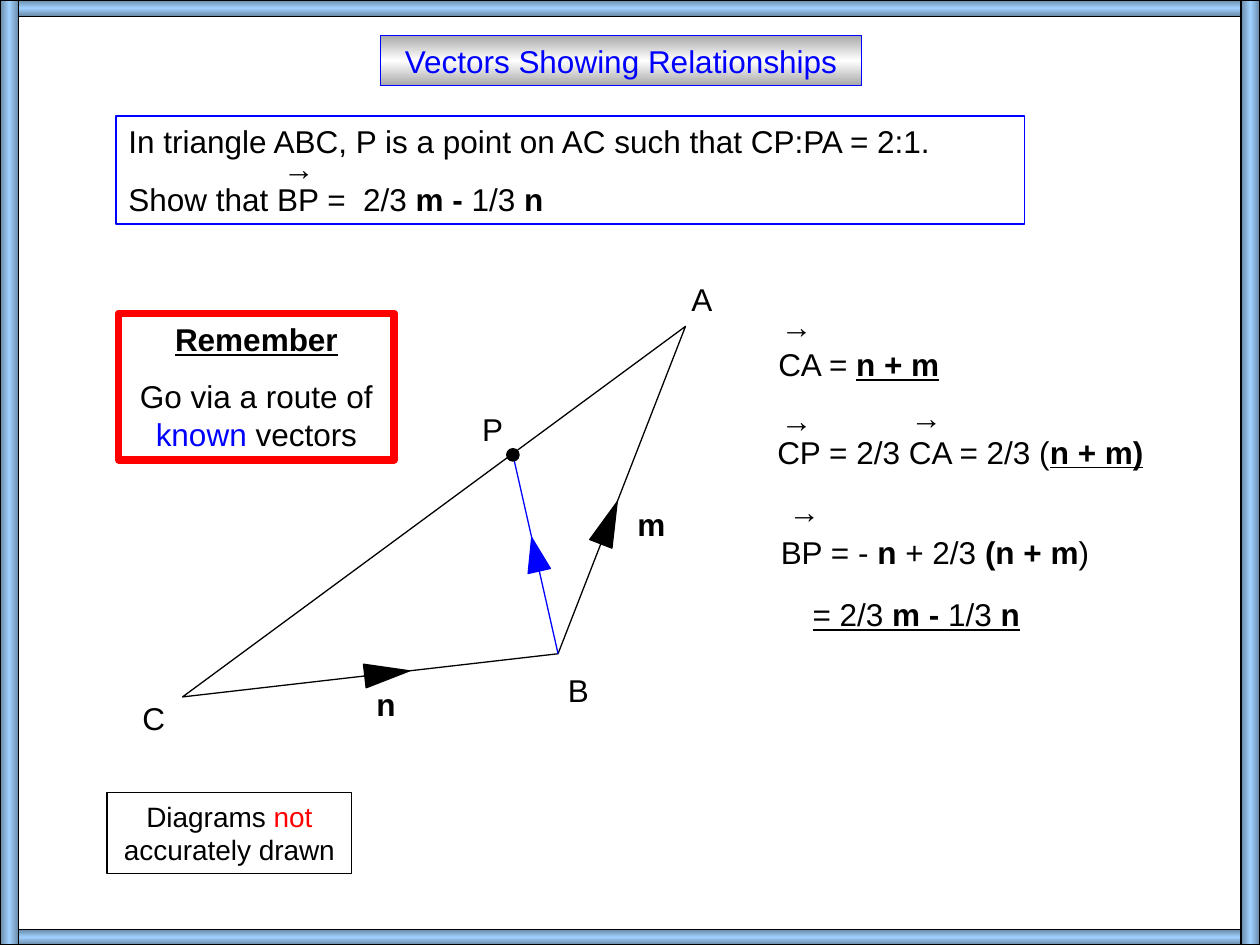
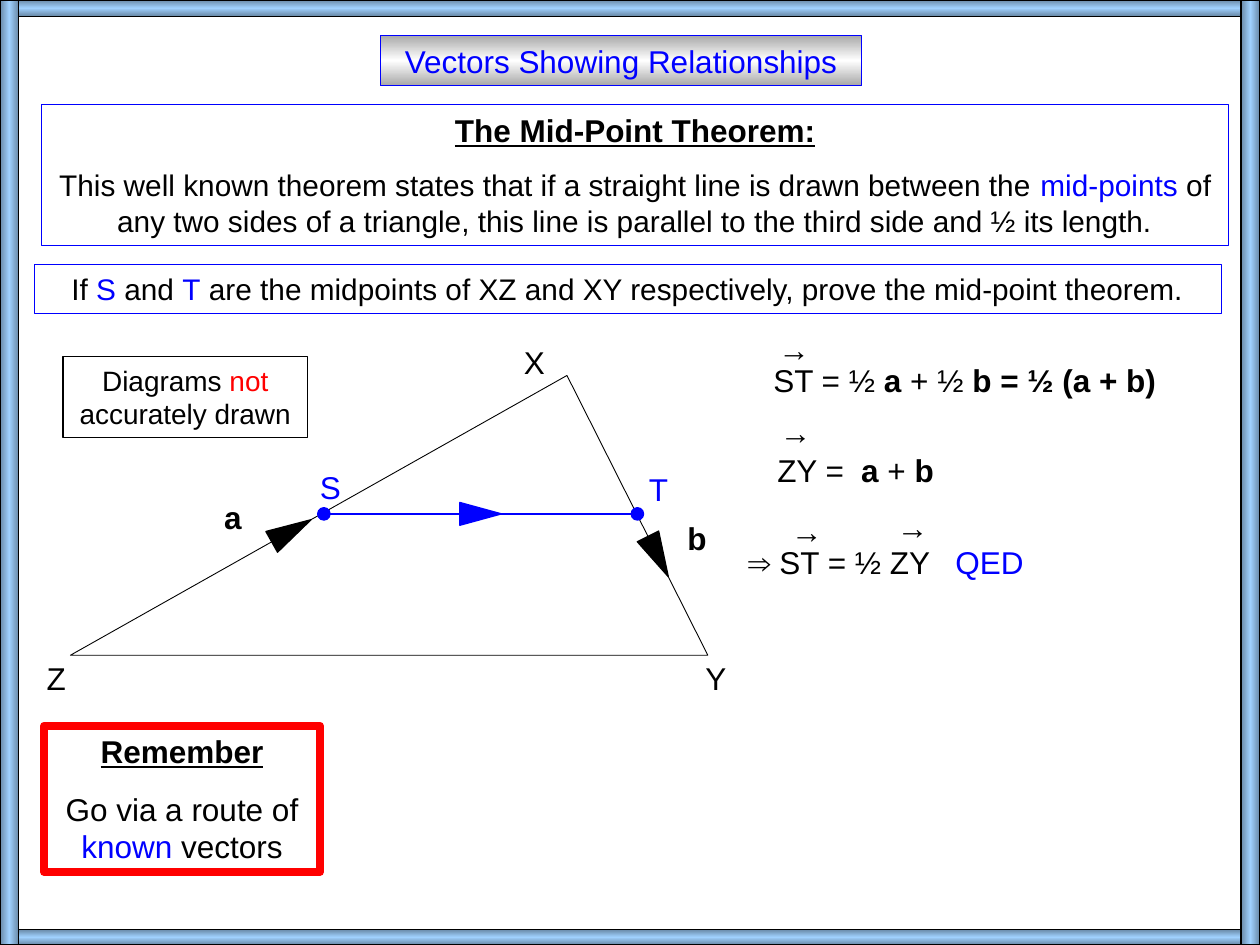
import copy
import math

import pptx
import pptx.dml.color
import pptx.enum.dml
import pptx.enum.shapes
import pptx.enum.text
import pptx.oxml.ns
import pptx.util
from lxml import etree

Cm, Pt = pptx.util.Cm, pptx.util.Pt
SHAPE = pptx.enum.shapes.MSO_SHAPE
ALIGN = pptx.enum.text.PP_ALIGN
ANCHOR = pptx.enum.text.MSO_ANCHOR
qn = pptx.oxml.ns.qn


class Theme:
    font = "Arial"
    body, lead, small = 18, 17, 16
    space = 0.62  # gap above a paragraph, as a share of its type size
    thin, fine, thick = 0.75, 0.5, 4.5
    colours = {
        "black": "000000", "white": "FFFFFF", "blue": "0000FF",
        "red": "FF0000", "grey": "A8A8A8", "steel": "6989A7", "sky": "A0D1FE",
    }


# Lengths are in centimetres. A run is a string, or a pair of string and marks
# (b for bold, u for underlined, or a colour). A paragraph is (size, runs).
WIDTH, HEIGHT = 25.4, 19.05
TITLE = "Vectors Showing Relationships"
TITLE_AT = (7.67, 0.71, 9.7, 1.02)
BANDS = [
    ((0, 0, WIDTH, 0.33), 90), ((0, 18.74, WIDTH, 0.31), 90),
    ((0, 0, 0.38, HEIGHT), 0), ((25.02, 0, 0.38, HEIGHT), 0),
]
LABEL, ARROW, LINE = 1.02, 1.7, 8.64
HEAD = (0.48, 0.91)

HINT = [
    (Theme.body, [("Remember", "b u")]),
    (Theme.body, ["Go via a route of ", ("known", "blue"), " vectors"]),
]
NOTE = [(Theme.small, ["Diagrams ", ("not ", "red"), "accurately drawn"])]
HINT_SIZE, NOTE_SIZE = (5.56, 2.95), (4.93, 1.63)

RATIO = {
    "boxes": [
        dict(at=(2.34, 2.34, 18.31, 2.18), edge="blue", align=ALIGN.LEFT, tab=4.73,
             paras=[
                 (Theme.body, ["In triangle ABC, P is a point on AC such that CP:PA = 2:1."]),
                 (Theme.body, ["Show that BP =\t2/3 ", ("m - ", "b"), "1/3", (" n", "b")]),
             ]),
        dict(at=(2.39, 6.32, *HINT_SIZE), edge="red", weight=Theme.thick, paras=HINT),
        dict(at=(2.16, 15.98, *NOTE_SIZE), edge="black", paras=NOTE),
    ],
    "points": {"A": (13.82, 6.58), "B": (11.25, 13.18), "C": (3.68, 14.05), "P": (10.34, 9.17)},
    "outline": ("CBA", Theme.thin),
    "link": "BP",
    "dots": [("P", "black")],
    "heads": [("BA", 0.4, "black", HEAD), ("CB", 0.545, "black", HEAD),
              ("BP", 0.5, "blue", (0.46, 0.69))],
    "labels": [
        ("A", "", 13.69, 5.51), ("B", "", 11.2, 13.39), ("C", "", 2.62, 13.97),
        ("P", "", 9.47, 8.13), ("m", "b", 12.6, 10.06), ("n", "b", 7.34, 13.67),
    ],
    "steps": [
        (15.44, 6.83, ["CA = ", ("n + m", "b u")], None),
        (15.42, 8.59, ["CP = 2/3 CA = 2/3 (", ("n + m)", "b u")], None),
        (15.49, 10.62, ["BP = - ", ("n", "b"), " + 2/3 ", ("(n + m", "b"), ")"], None),
        (16.13, 11.86, [("= 2/3 ", "u"), ("m - ", "b u"), ("1/3", "u"), (" n", "b u")], None),
    ],
    "arrows": [(5.46, 2.87), (15.49, 6.05), (15.49, 7.95), (18.11, 7.9), (15.65, 9.78)],
}

MIDPOINT = {
    "boxes": [
        dict(at=(0.84, 2.11, 23.93, 2.84), edge="blue", paras=[
            (Theme.body, [("The Mid-Point Theorem:", "b u")]),
            (Theme.lead, [
                "This well known theorem states that if a straight line is drawn between the ",
                ("mid-points", "blue"),
                " of any two sides of a triangle, this line is parallel to the third side"
                " and ½ its length."]),
        ]),
        dict(at=(0.69, 5.33, 23.93, 0.99), edge="blue", paras=[
            (Theme.lead, [
                "If ", ("S", "blue"), " and ", ("T", "blue"),
                " are the midpoints of XZ and XY respectively, prove the mid-point theorem."]),
        ]),
        dict(at=(1.27, 7.19, *NOTE_SIZE), edge="black", paras=NOTE),
        dict(at=(0.89, 14.63, *HINT_SIZE), edge="red", weight=Theme.thick, paras=HINT),
    ],
    "points": {"X": (11.43, 7.57), "Y": (14.27, 13.21), "Z": (1.42, 13.21),
               "S": (6.53, 10.36), "T": (12.85, 10.36)},
    "outline": ("YZX", Theme.fine),
    "link": "ST",
    "dots": [("S", "blue"), ("T", "blue")],
    "heads": [("ZX", 0.445, "black", HEAD), ("XY", 0.647, "black", HEAD),
              ("ST", 0.5, "blue", (0.46, 0.84))],
    "labels": [
        ("X", "", 10.31, 6.78), ("Y", "", 13.97, 13.16), ("Z", "", 0.69, 13.16),
        ("S", "blue", 6.2, 9.3), ("T", "blue", 12.83, 9.35),
        ("a", "b", 4.27, 9.91), ("b", "b", 13.61, 10.34),
    ],
    "steps": [
        (15.34, 7.14, ["ST = ½ ", ("a", "b"), " + ½ ", ("b = ½ (a + b)", "b")], None),
        (15.42, 8.97, ["ZY =\t", ("a ", "b"), "+ ", ("b", "b")], 1.69),
        (14.83, 10.82, ["⇒ ST = ½ ZY\t", ("QED", "blue")], 4.18),
    ],
    "arrows": [(15.44, 6.53), (15.47, 8.2), (15.7, 10.19), (17.83, 10.11)],
}


def tint(name):
    return pptx.dml.color.RGBColor.from_string(Theme.colours[name])


def span(*sizes):
    return [Cm(size) for size in sizes]


def paint(shape, fill, edge, weight=Theme.thin):
    shape.shadow.inherit = False
    if fill:
        shape.fill.solid()
        shape.fill.fore_color.rgb = tint(fill)
    else:
        shape.fill.background()
    shape.line.color.rgb = tint(edge)
    shape.line.width = Pt(weight)


def shade(shape, rim, core, angle):
    """Fill with a gradient that runs rim, core, rim."""
    shape.fill.gradient()
    shape.fill.gradient_angle = angle
    stops = shape._element.spPr.find(".//" + qn("a:gsLst"))
    stops.insert(1, copy.deepcopy(stops[0]))
    for stop, name, place in zip(shape.fill.gradient_stops, (rim, core, rim), (0, 0.5, 1)):
        stop.color.rgb = tint(name)
        stop.position = place


def write(shape, paras, align=ALIGN.LEFT, tab=None, colour="black"):
    frame = shape.text_frame
    frame.word_wrap = True
    frame.auto_size = pptx.enum.text.MSO_AUTO_SIZE.NONE
    frame.vertical_anchor = ANCHOR.TOP
    frame.margin_left = frame.margin_right = Cm(0.25)
    frame.margin_top = frame.margin_bottom = Cm(0.13)
    for i, (size, runs) in enumerate(paras):
        para = frame.add_paragraph() if i else frame.paragraphs[0]
        if tab:
            stops = etree.SubElement(para._p.get_or_add_pPr(), qn("a:tabLst"))
            etree.SubElement(stops, qn("a:tab"), pos=str(Cm(tab)), algn="l")
        para.alignment = align
        para.space_before = Pt(round(Theme.space * size, 1) if i else 0)
        for item in runs:
            text, marks = (item, "") if isinstance(item, str) else item
            marks = marks.split()
            run = para.add_run()
            run.text = text
            font = run.font
            font.name, font.size = Theme.font, Pt(size)
            font.bold, font.underline = "b" in marks, "u" in marks
            hue = next((mark for mark in marks if mark in Theme.colours), colour)
            font.color.rgb = tint(hue)


def add_frame(slide):
    """Set the title and the four bands round the slide."""
    title = slide.shapes.title
    title.left, title.top, title.width, title.height = span(*TITLE_AT)
    shade(title, "grey", "white", 90)
    title.line.color.rgb = tint("blue")
    title.line.width = Pt(Theme.thin)
    write(title, [(Theme.body, [TITLE])], ALIGN.CENTER, colour="blue")
    for place, angle in BANDS:
        band = slide.shapes.add_shape(SHAPE.RECTANGLE, *span(*place))
        paint(band, None, "black")
        shade(band, "steel", "sky", angle)


def add_box(slide, at, edge, paras, weight=Theme.thin, align=ALIGN.CENTER, tab=None):
    box = slide.shapes.add_shape(SHAPE.RECTANGLE, *span(*at))
    paint(box, None, edge, weight)
    write(box, paras, align, tab)


def add_text(slide, x, y, width, runs, tab=None):
    box = slide.shapes.add_textbox(*span(x, y, width, LABEL))
    write(box, [(Theme.body, runs)], tab=tab)


def add_mark(slide, kind, centre, size, colour, turn=0):
    x, y = centre
    wide, high = size
    mark = slide.shapes.add_shape(kind, *span(x - wide / 2, y - high / 2, wide, high))
    paint(mark, colour, colour)
    mark.rotation = turn


def draw(slide, plan):
    """Draw the triangle with its inner vector, arrowheads and dots."""
    points = plan["points"]
    names, weight = plan["outline"]
    first, *rest = [span(*points[name]) for name in names]
    pen = slide.shapes.build_freeform(*first)
    pen.add_line_segments(rest, close=True)
    paint(pen.convert_to_shape(), None, "black", weight)

    start, end = (span(*points[name]) for name in plan["link"])
    link = slide.shapes.add_connector(pptx.enum.shapes.MSO_CONNECTOR.STRAIGHT, *start, *end)
    link.line.color.rgb = tint("blue")
    link.line.width = Pt(Theme.thin)
    etree.SubElement(link._element.spPr, qn("a:effectLst"))

    for (tail, tip), part, colour, size in plan["heads"]:
        (x, y), (u, v) = points[tail], points[tip]
        centre = x + part * (u - x), y + part * (v - y)
        turn = math.degrees(math.atan2(u - x, y - v)) % 360
        add_mark(slide, SHAPE.ISOSCELES_TRIANGLE, centre, size, colour, turn)
    for name, colour in plan["dots"]:
        add_mark(slide, SHAPE.OVAL, points[name], (0.25, 0.25), colour)


def add_slide(deck, plan):
    slide = deck.slides.add_slide(deck.slide_layouts[5])
    add_frame(slide)
    for box in plan["boxes"]:
        add_box(slide, **box)
    draw(slide, plan)
    for name, marks, x, y in plan["labels"]:
        add_text(slide, x, y, LABEL, [(name, marks)])
    for x, y, runs, tab in plan["steps"]:
        add_text(slide, x, y, LINE, runs, tab)
    for x, y in plan["arrows"]:
        add_text(slide, x, y, ARROW, ["→"])


def main():
    deck = pptx.Presentation()
    deck.slide_width, deck.slide_height = span(WIDTH, HEIGHT)
    for plan in (RATIO, MIDPOINT):
        add_slide(deck, plan)
    deck.save("out.pptx")


if __name__ == "__main__":
    main()
